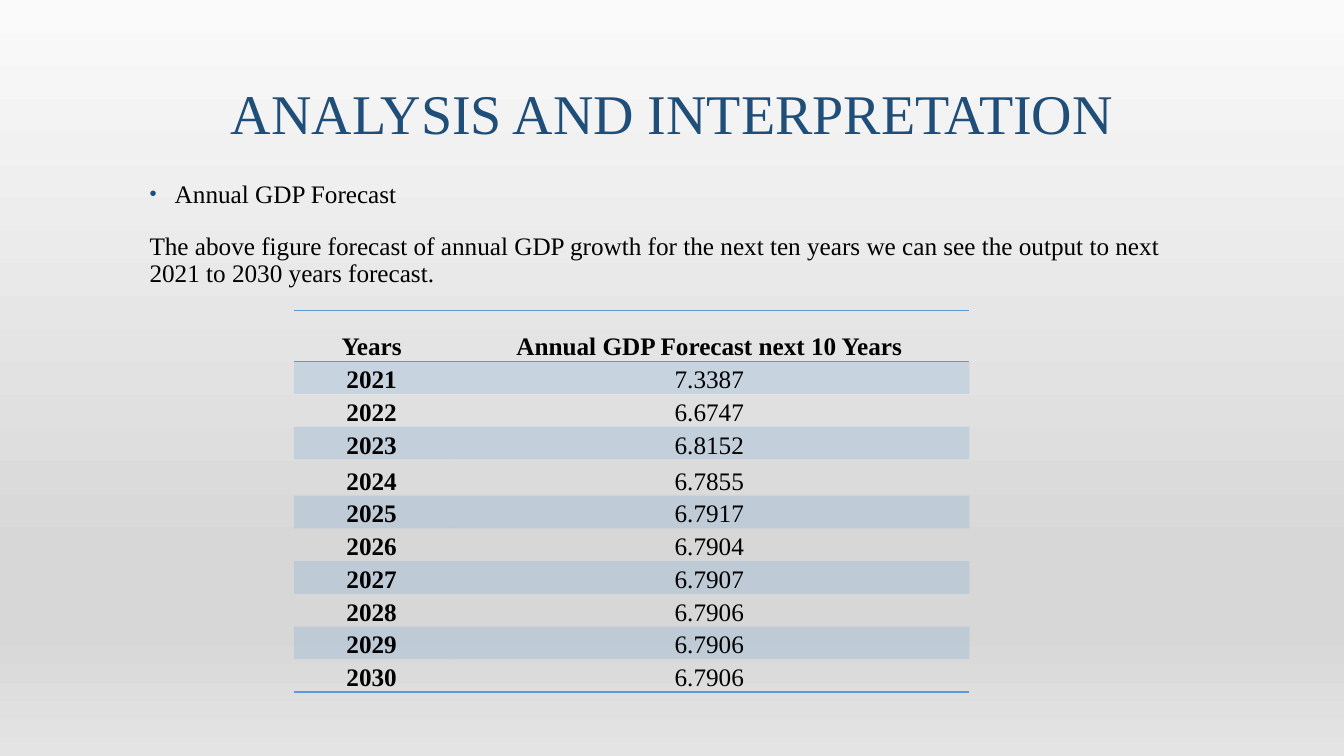
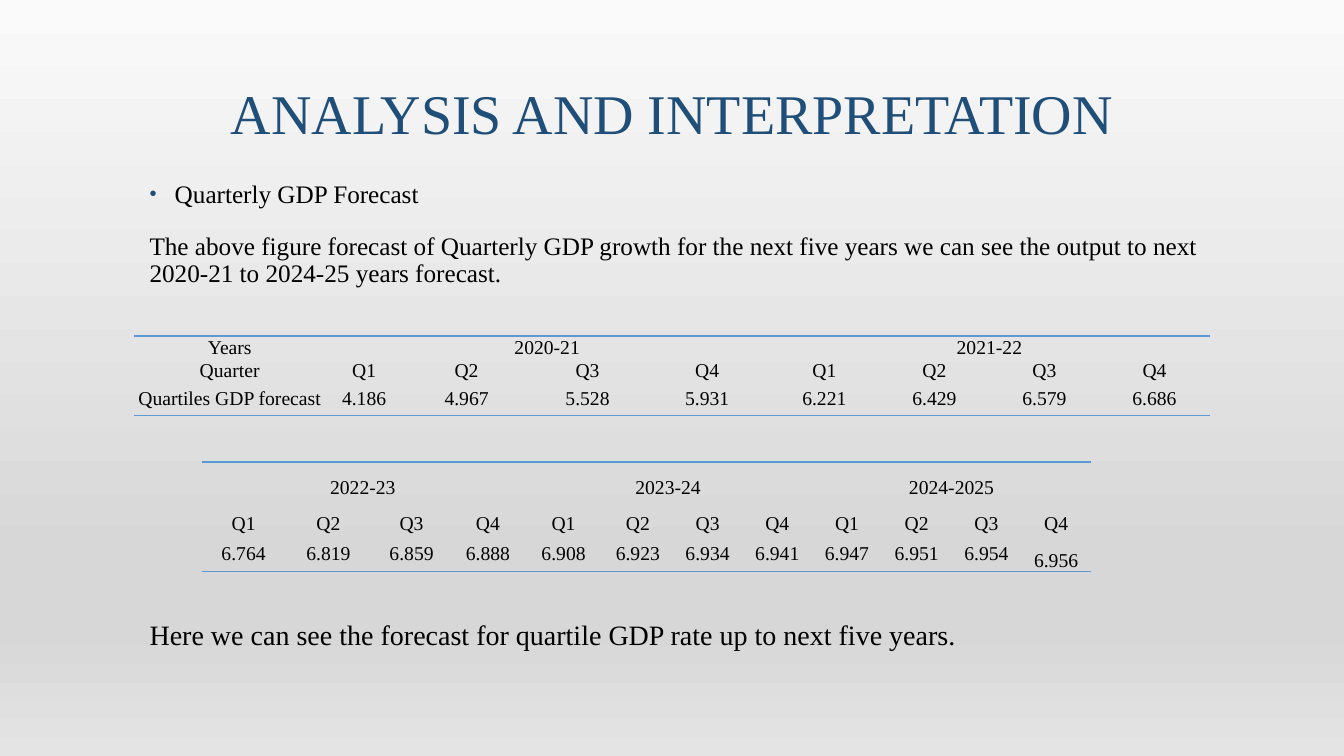
from lxml.etree import SubElement
from pptx import Presentation
from pptx.dml.color import RGBColor
from pptx.enum.text import MSO_ANCHOR as Anchor, MSO_AUTO_SIZE as AutoSize, PP_ALIGN as Align
from pptx.oxml.ns import qn
from pptx.util import Inches, Pt

FONT = "Times New Roman"
NAVY, BLUE, BLACK = "1F4E79", "5B9BD5", "000000"
BACKDROP = [(0, "FAFAFA"), (74, "D7D7D7"), (83, "D7D7D7"), (100, "E4E4E4")]
PLAIN_TABLE = "{2D5ABB26-0587-4C30-8999-92F81FD0307C}"
COLUMNS, ROWS = 160, 90
QUARTERS = ["Q1", "Q2", "Q3", "Q4"]


def color(code):
    return RGBColor.from_string(code)


def add_node(parent, tag, **attributes):
    return SubElement(parent, qn(tag), attributes)


class Report:
    def __init__(self):
        self.deck = Presentation()
        self.deck.slide_width, self.deck.slide_height = Inches(13.33), Inches(7.5)
        self.page = None
        self.paint_backdrop()

    def across(self, columns):
        return round(self.deck.slide_width * columns / COLUMNS)

    def down(self, rows):
        return round(self.deck.slide_height * rows / ROWS)

    def paint_backdrop(self):
        master = self.deck.slide_master
        fill = master.background.fill
        fill.gradient()
        fill.gradient_angle = 270
        stops = master.element.find(".//" + qn("a:gsLst"))
        for stop in list(stops):
            stops.remove(stop)
        for share, code in BACKDROP:
            stop = add_node(stops, "a:gs", pos=str(share * 1000))
            add_node(stop, "a:srgbClr", val=code)

    def place(self, box, left, top, width, height):
        box.left, box.top = self.across(left), self.down(top)
        box.width, box.height = self.across(width), self.down(height)
        box.text_frame.word_wrap = True
        box.text_frame.auto_size = AutoSize.NONE

    def add_span(self, para, text, size, code=BLACK, bold=False):
        span = para.add_run()
        span.text = text
        span.font.name = FONT
        span.font.size = Pt(size)
        span.font.bold = bold
        span.font.color.rgb = color(code)

    def add_page(self, title):
        self.page = self.deck.slides.add_slide(self.deck.slide_layouts[1])
        box = self.page.shapes.title
        self.place(box, 16, 3.6, 128, 14.4)
        box.text_frame.vertical_anchor = Anchor.BOTTOM
        para = box.text_frame.paragraphs[0]
        para.alignment = Align.CENTER
        para.line_spacing = 0.9
        self.add_span(para, title, 40, NAVY)

    def add_body(self, items):
        box = self.page.placeholders[1]
        self.place(box, 16, 21, 128, 60)
        frame = box.text_frame
        frame.vertical_anchor = Anchor.TOP
        for index, (text, size, gap, bulleted) in enumerate(items):
            para = frame.add_paragraph() if index else frame.paragraphs[0]
            para.line_spacing = 0.9
            para.space_before = Pt(gap)
            self.set_bullet(para, bulleted)
            self.add_span(para, text, size)

    def set_bullet(self, para, bulleted):
        props = para._p.get_or_add_pPr()
        props.set("marL", str(Inches(0.3 if bulleted else 0.05)))
        props.set("indent", str(Inches(-0.25 if bulleted else 0)))
        if bulleted:
            add_node(add_node(props, "a:buClr"), "a:srgbClr", val=NAVY)
            add_node(props, "a:buSzPct", val="80000")
            add_node(props, "a:buFont", typeface="Arial")
            add_node(props, "a:buChar", char="•")
        else:
            add_node(props, "a:buNone")

    def add_grid(self, left, top, widths, heights, records, size, spacing=1.0,
                 margins=(0.01, 0.01, 0.01, 0), annual=False):
        frame = self.page.shapes.add_table(
            len(heights), len(widths), self.across(left), self.down(top),
            self.across(sum(widths)), self.down(sum(heights)))
        table = frame.table
        table.first_row = table.horz_banding = False
        table._tbl.tblPr.find(qn("a:tableStyleId")).text = PLAIN_TABLE
        for column, width in zip(table.columns, widths):
            column.width = self.across(width)
        for row, height in zip(table.rows, heights):
            row.height = self.down(height)
        last = len(records) - 1
        for r, record in enumerate(records):
            for c, text in enumerate(record):
                cell = table.cell(r, c)
                (cell.margin_left, cell.margin_top,
                 cell.margin_right, cell.margin_bottom) = map(Inches, margins)
                centered = r == last and not annual
                cell.vertical_anchor = Anchor.MIDDLE if centered else Anchor.BOTTOM
                self.fill_cell(cell, annual and r % 2 == 1)
                sides = ["T"] * (r == 0) + ["B"] * (r == last or annual and r == 0)
                self.rule_cell(cell, sides)
                para = cell.text_frame.paragraphs[0]
                para.alignment = Align.CENTER
                para.line_spacing = spacing
                if text:
                    self.add_span(para, text, size, bold=annual and (r == 0 or c == 0))
        return table

    def fill_cell(self, cell, tinted):
        if not tinted:
            cell.fill.background()
            return
        cell.fill.solid()
        cell.fill.fore_color.rgb = color(BLUE)
        shade = cell._tc.tcPr.find(".//" + qn("a:srgbClr"))
        add_node(shade, "a:alpha", val="20000")

    def rule_cell(self, cell, sides):
        props = cell._tc.get_or_add_tcPr()
        for position, side in enumerate(sides):
            line = add_node(props, "a:ln" + side, w=str(Pt(1)))
            add_node(add_node(line, "a:solidFill"), "a:srgbClr", val=BLUE)
            props.insert(position, line)

    def add_quarters(self, left, top, widths, heights, years, values, labels=()):
        first = len(labels) // 3
        headings = [cell for year in years for cell in (year, "", "", "")]
        bodies = [headings, QUARTERS * len(years), values]
        records = [[*labels[i:i + first], *body] for i, body in enumerate(bodies)]
        table = self.add_grid(left, top, widths, heights, records, 14)
        for start in range(first, len(widths), 4):
            table.cell(0, start).merge(table.cell(0, start + 3))
        return table


def main():
    report = Report()
    title = "ANALYSIS AND INTERPRETATION"

    report.add_page(title)
    report.add_body([
        ("Annual GDP Forecast", 18, 18, True),
        ("The above figure forecast of annual GDP growth for the next ten years "
         "we can see the output to next 2021 to 2030 years forecast.", 18, 18, False),
    ])
    rates = ["7.3387", "6.6747", "6.8152", "6.7855", "6.7917",
             "6.7904", "6.7907", "6.7906", "6.7906", "6.7906"]
    forecast = [("Years", "Annual GDP Forecast next 10 Years")]
    forecast += [(str(year), rate) for year, rate in enumerate(rates, 2021)]
    report.add_grid(35, 37, [18.5, 61.9], [6] + [3.9] * 3 + [4.3] + [3.9] * 6,
                    forecast, 18, spacing=1.1, margins=(0.07, 0, 0.07, 0), annual=True)

    report.add_page(title)
    report.add_body([
        ("Quarterly GDP Forecast", 18, 18, True),
        ("The above figure forecast of Quarterly GDP growth for the next five years "
         "we can see the output to next 2020-21 to 2024-25 years forecast.", 18, 18, False),
        ("Here we can see the forecast for quartile GDP rate up to next five years.",
         20, 238, False),
    ])
    report.add_quarters(
        16, 40, [22.7, 9.3, 15.1, 13.7, 14.8] + [13.1] * 4, [1.7, 2.6, 4.1],
        ["2020-21", "2021-22"],
        ["4.186", "4.967", "5.528", "5.931", "6.221", "6.429", "6.579", "6.686"],
        ["Years", "Quarter", "Quartiles GDP forecast"])
    later = report.add_quarters(
        24, 55, [10, 10.2, 9.6, 8.6, 9.4] + [8.3] * 7, [4.35] * 3,
        ["2022-23", "2023-24", "2024-2025"],
        ["6.764", "6.819", "6.859", "6.888", "6.908", "6.923",
         "6.934", "6.941", "6.947", "6.951", "6.954", "6.956"])
    later.cell(2, 11).vertical_anchor = Anchor.BOTTOM

    report.deck.save("out.pptx")


if __name__ == "__main__":
    main()
